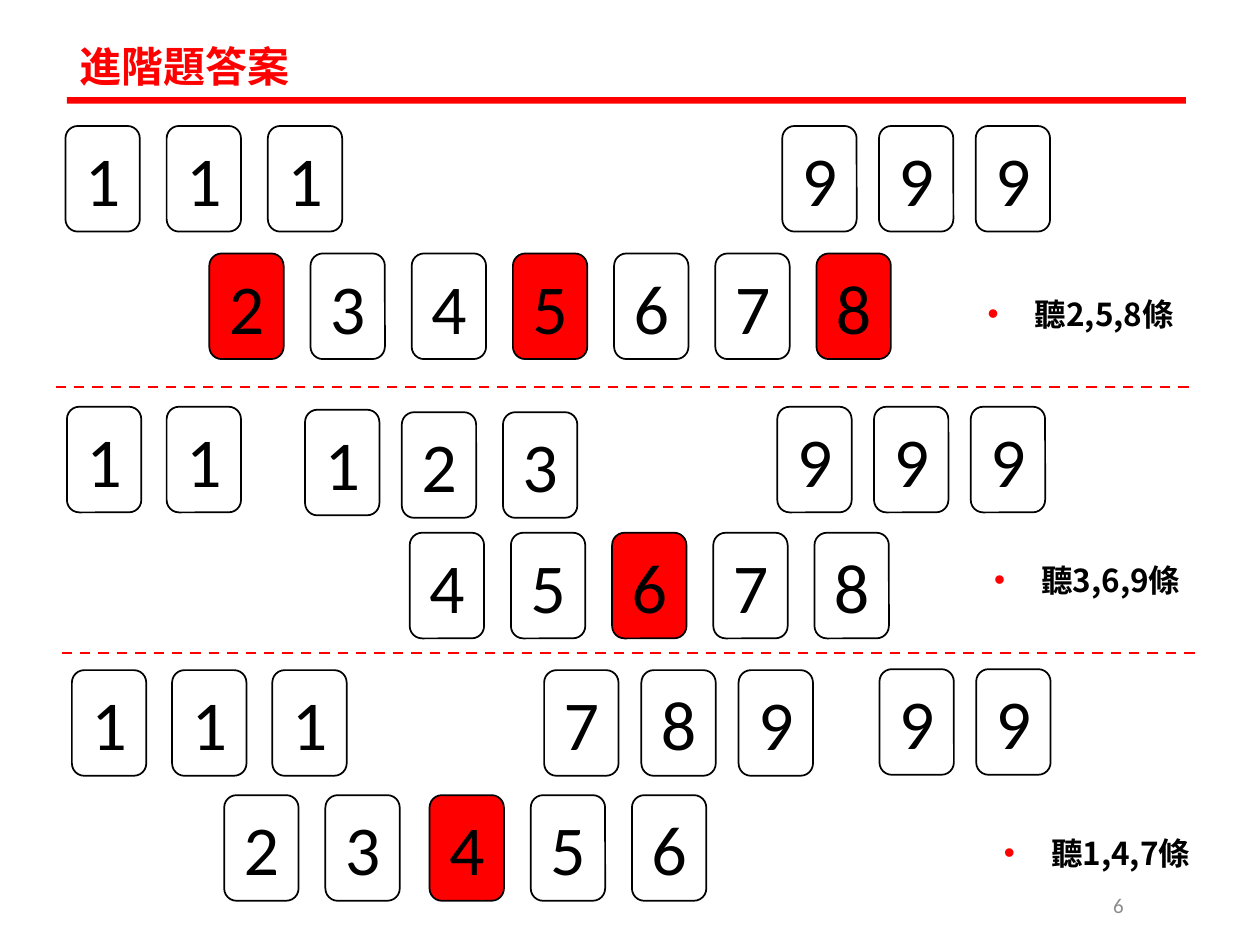
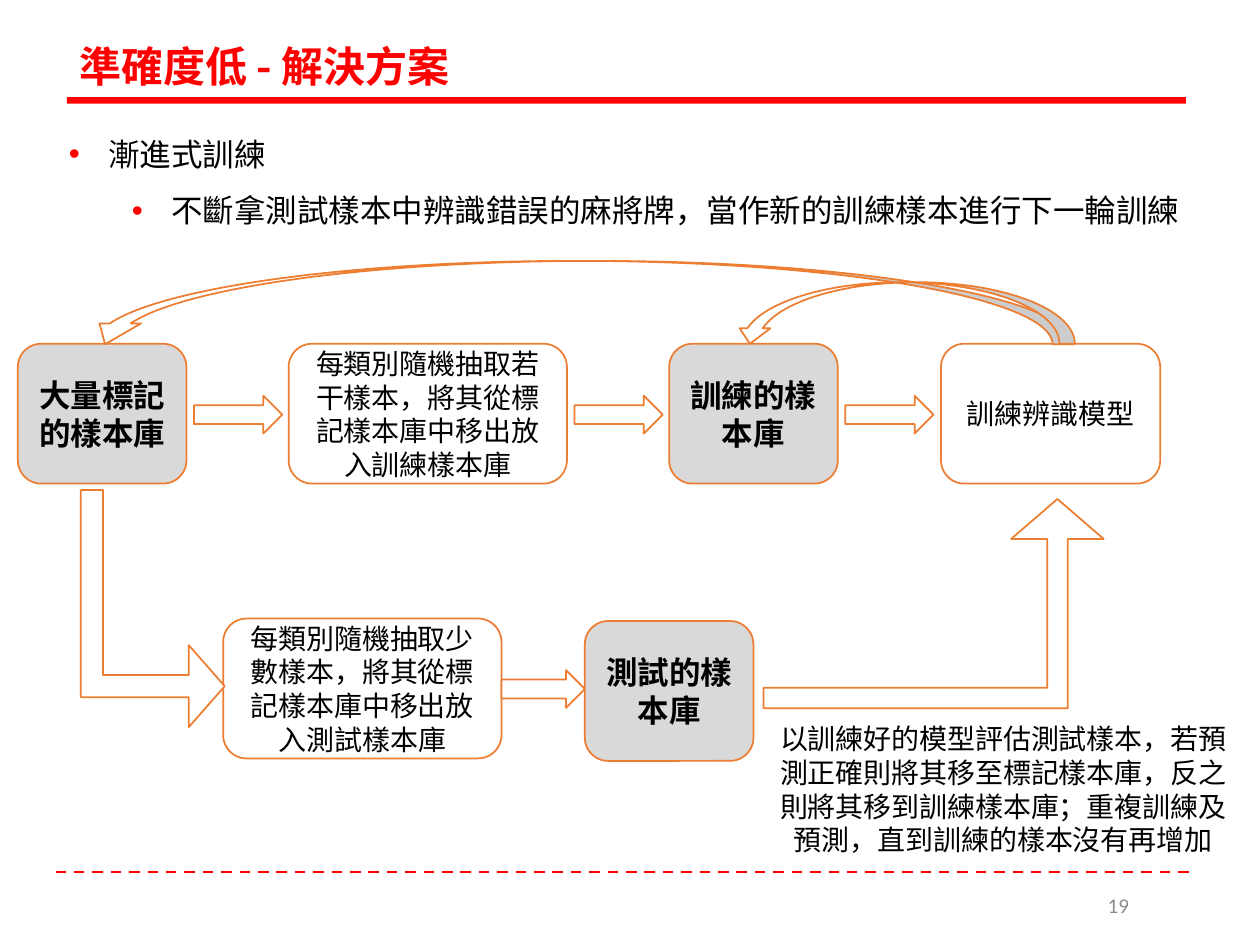
"""Build two slides: mahjong answer tiles and a progressive training flow."""
from lxml.etree import SubElement
from pptx import Presentation
from pptx.dml.color import RGBColor
from pptx.enum.dml import MSO_LINE
from pptx.enum.shapes import MSO_CONNECTOR, MSO_SHAPE
from pptx.enum.text import MSO_ANCHOR, PP_ALIGN
from pptx.oxml.ns import qn
from pptx.util import Cm, Pt

COLORS = {"red": "FF0000", "black": "000000", "white": "FFFFFF",
          "grey": "D9D9D9", "orange": "ED7D31", "number": "8C8C8C"}
TC, SC = "Noto Sans CJK TC", "Noto Sans CJK SC"
STYLES = {
    "title": ("red", {"size": Pt(24), "name": TC, "bold": True}),
    "number": ("number", {"size": Pt(12), "name": "Calibri"}),
    "answer": ("black", {"size": Pt(18), "name": TC, "bold": True}),
    "tile": ("black", {"size": Pt(40), "name": "Calibri"}),
    "bullet": ("black", {"size": Pt(18), "name": SC}),
    "store": ("black", {"size": Pt(18), "name": SC, "bold": True}),
    "step": ("black", {"size": Pt(16), "name": SC}),
}
CENTER = {"alignment": PP_ALIGN.CENTER}
MIDDLE = MSO_ANCHOR.MIDDLE


def write(shape, lines, style, anchor=MSO_ANCHOR.TOP, layout=CENTER, bullets=()):
    """Fill a shape with styled paragraphs; bullets holds (margin, hanging) in cm."""
    color, font_values = STYLES[style]
    frame = shape.text_frame
    frame.word_wrap = True
    frame.vertical_anchor = anchor
    for index, line in enumerate(lines):
        paragraph = frame.add_paragraph() if index else frame.paragraphs[0]
        if bullets:
            margin, hanging = bullets[index]
            properties = paragraph._p.get_or_add_pPr()
            properties.set("marL", str(Cm(margin)))
            properties.set("indent", str(-Cm(hanging)))
            bullet_color = SubElement(properties, qn("a:buClr"))
            SubElement(bullet_color, qn("a:srgbClr"), val=COLORS["red"])
            SubElement(properties, qn("a:buFont"), typeface="Arial")
            SubElement(properties, qn("a:buChar"), char="•")
            paragraph.level = index
        for name, value in layout.items():
            setattr(paragraph, name, value)
        run = paragraph.add_run()
        run.text = line
        for name, value in font_values.items():
            setattr(run.font, name, value)
        run.font.color.rgb = RGBColor.from_string(COLORS[color])
        SubElement(run._r.get_or_add_rPr(), qn("a:ea"), typeface=font_values["name"])


def draw(slide, kind, box, fill, line=None):
    """Add a flat preset shape with an optional one-point outline."""
    shape = slide.shapes.add_shape(kind, *map(Cm, box))
    shape.shadow.inherit = False
    shape.fill.solid()
    shape.fill.fore_color.rgb = RGBColor.from_string(COLORS[fill])
    if line:
        shape.line.color.rgb = RGBColor.from_string(COLORS[line])
        shape.line.width = Pt(1)
    else:
        shape.line.fill.background()
    return shape


presentation = Presentation()
presentation.slide_width = Cm(25.4)
presentation.slide_height = Cm(19.05)

slides = []
for title, number, dividers in [
    ("進階題答案", "6", [(1.12, 7.8), (1.24, 13.16)]),
    ("準確度低 - 解決方案", "19", [(1.12, 17.58)]),
]:
    slide = presentation.slides.add_slide(presentation.slide_layouts[6])
    slides.append(slide)
    draw(slide, MSO_SHAPE.RECTANGLE, (1.35, 1.96, 22.56, 0.13), "red")
    title_box = slide.shapes.add_textbox(Cm(1.35), Cm(1.07), Cm(23.37), Cm(0.64))
    write(title_box, [title], "title", MIDDLE, {"line_spacing": 0.9})
    number_box = slide.shapes.add_textbox(Cm(19.69), Cm(17.73), Cm(5.71), Cm(1.02))
    write(number_box, [number], "number", MIDDLE)
    for left, top in dividers:
        divider = slide.shapes.add_connector(
            MSO_CONNECTOR.STRAIGHT, Cm(left), Cm(top), Cm(left + 22.91), Cm(top))
        divider.line.color.rgb = RGBColor.from_string(COLORS["red"])
        divider.line.width = Pt(1.5)
        divider.line.dash_style = MSO_LINE.DASH
        SubElement(divider._element.spPr, qn("a:effectLst"))

answer_slide, training_slide = slides

for left, top, pitch, digits, winning in [
    (1.32, 2.54, 2.04, "111", ""),
    (15.77, 2.54, 1.95, "999", ""),
    (4.22, 5.11, 2.04, "2345678", "258"),
    (1.35, 8.2, 2.01, "11", ""),
    (6.15, 8.26, 2.04, "1", ""),
    (8.1, 8.31, 2.04, "23", ""),
    (15.67, 8.2, 1.95, "999", ""),
    (8.26, 10.74, 2.04, "45678", "6"),
    (1.45, 13.51, 2.02, "111", ""),
    (10.97, 13.51, 1.96, "789", ""),
    (17.73, 13.49, 1.95, "99", ""),
    (4.52, 16.03, 2.04, "23", ""),
    (8.66, 16.03, 2.04, "456", "4"),
]:
    for index, digit in enumerate(digits):
        fill = "red" if digit in winning else "white"
        tile_box = (left + index * pitch, top, 1.5, 2.13)
        tile = draw(answer_slide, MSO_SHAPE.ROUNDED_RECTANGLE, tile_box, fill, "black")
        write(tile, [digit], "tile", MIDDLE)

for left, top, answer in [
    (19.66, 5.44, "聽2,5,8條"),
    (19.79, 10.8, "聽3,6,9條"),
    (19.99, 16.31, "聽1,4,7條"),
]:
    answer_box = answer_slide.shapes.add_textbox(Cm(left), Cm(top), Cm(8.05), Cm(1.42))
    write(answer_box, [answer], "answer", layout={"line_spacing": 1.5},
          bullets=[(0.95, 0.95)])

summary_box = training_slide.shapes.add_textbox(Cm(1.14), Cm(2.21), Cm(23.44), Cm(2.57))
write(summary_box,
      ["漸進式訓練", "不斷拿測試樣本中辨識錯誤的麻將牌，當作新的訓練樣本進行下一輪訓練"],
      "bullet", layout={"line_spacing": 1.5}, bullets=[(0.79, 0.79), (2.06, 0.79)])

for left, top, width, fill, style, text in [
    (0.36, 6.93, 3.4, "grey", "store", "大量標記的樣本庫"),
    (5.82, 6.93, 5.61, "white", "step",
     "每類別隨機抽取若干樣本，將其從標記樣本庫中移出放入訓練樣本庫"),
    (13.49, 6.93, 3.4, "grey", "store", "訓練的樣本庫"),
    (18.97, 6.93, 4.42, "white", "step", "訓練辨識模型"),
    (4.5, 12.47, 5.61, "white", "step",
     "每類別隨機抽取少數樣本，將其從標記樣本庫中移出放入測試樣本庫"),
    (11.79, 12.52, 3.4, "grey", "store", "測試的樣本庫"),
]:
    node = draw(training_slide, MSO_SHAPE.ROUNDED_RECTANGLE,
                (left, top, width, 2.82), fill, "orange")
    write(node, [text], style, MIDDLE)

for left, top, width in [(3.91, 7.98, 1.78), (11.58, 7.98, 1.78),
                         (17.04, 7.98, 1.78), (10.11, 13.51, 1.68)]:
    draw(training_slide, MSO_SHAPE.RIGHT_ARROW, (left, top, width, 0.76), "white", "orange")

for box, rotation, adjustments in [
    ((0.69, 10.82, 4.78, 2.9), 90, (0.154, 0.285, 0.25)),
    ((15.39, 10.06, 6.86, 4.22), 0, (0.098, 0.221, 0.191)),
]:
    bent_arrow = draw(training_slide, MSO_SHAPE.BENT_UP_ARROW, box, "white", "orange")
    bent_arrow.rotation = rotation
    for index, value in enumerate(adjustments):
        bent_arrow.adjustments[index] = value

evaluation_box = training_slide.shapes.add_textbox(Cm(15.24), Cm(14.43), Cm(9.98), Cm(3))
write(evaluation_box,
      ["以訓練好的模型評估測試樣本，若預測正確則將其移至標記樣本庫，"
       "反之則將其移到訓練樣本庫；重複訓練及預測，直到訓練的樣本沒有再增加"], "step")

for box in [(1.7, 5.26, 19.94, 1.68), (14.81, 5.69, 6.86, 1.24)]:
    return_arrow = draw(training_slide, MSO_SHAPE.CURVED_DOWN_ARROW, box, "white", "orange")
    return_arrow._element.spPr.get_or_add_xfrm().set("flipH", "1")

presentation.save("out.pptx")
